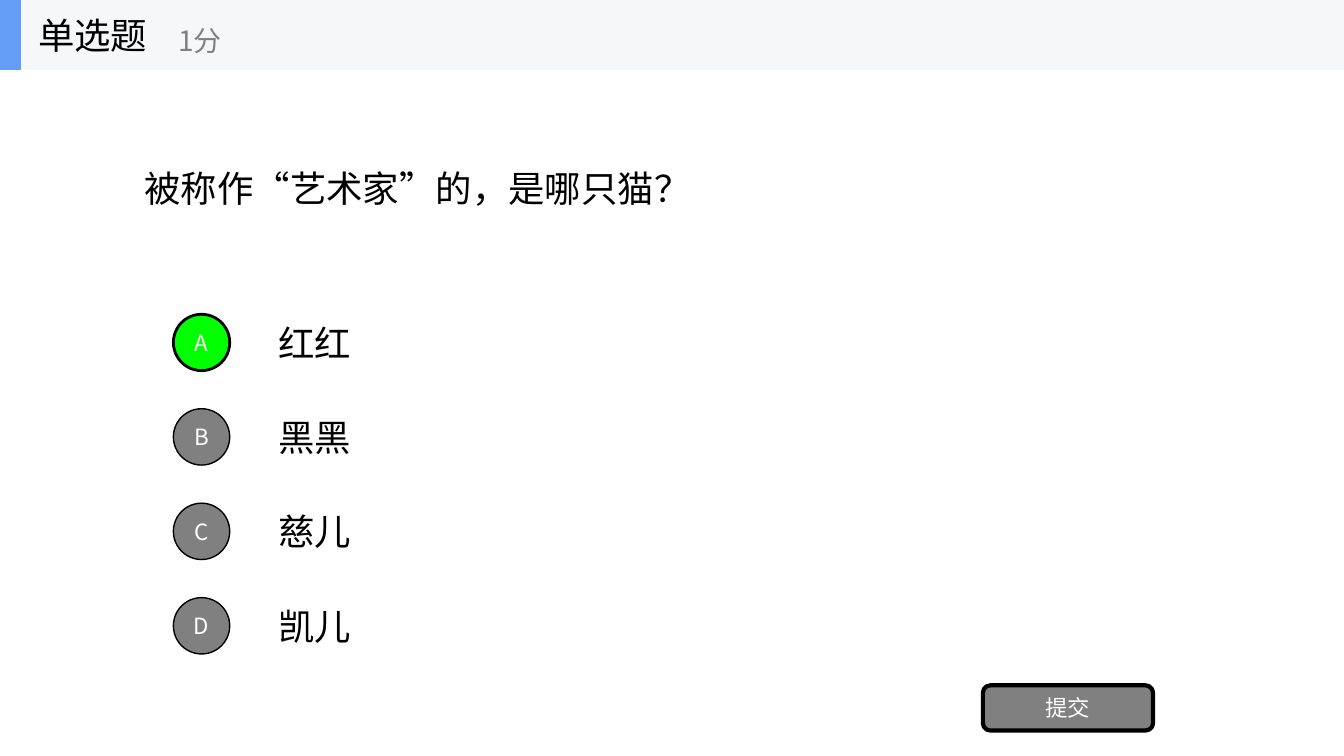
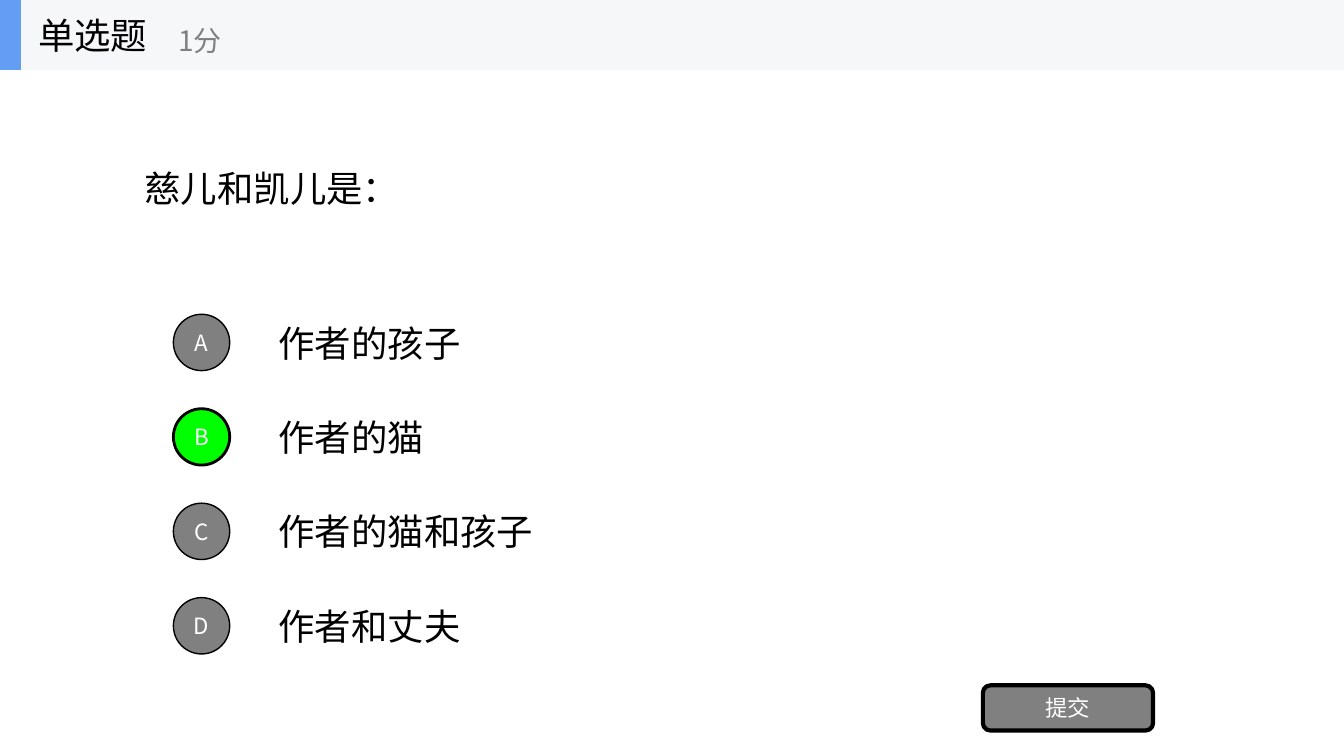
from typing import NamedTuple

from lxml import etree
from pptx import Presentation
from pptx import util as u
from pptx.dml import color
from pptx.enum import shapes, text
from pptx.oxml import ns


class Theme:
    font = "Noto Sans CJK SC"
    ink = "000000"
    white = "FFFFFF"
    gray = "808080"
    green = "00FF00"
    band = "F6F7F8"
    blue = "639EF4"
    large = 26
    mid = 20
    small = 16


class Box(NamedTuple):
    x: float
    y: float
    w: float
    h: float

    def sub(self, x, y, w, h):
        return Box(self.x + x, self.y + y, w, h)

    def cm(self):
        return [u.Cm(v) for v in self]


PAGE = Box(0, 0, 33.87, 19.05)
LEFT, MID = text.PP_ALIGN.LEFT, text.PP_ALIGN.CENTER
KIND = shapes.MSO_SHAPE


def rgb(code):
    return color.RGBColor.from_string(code)


def write(shape, words, size, tone, align=LEFT):
    frame = shape.text_frame
    frame.word_wrap = True
    frame.vertical_anchor = text.MSO_ANCHOR.MIDDLE
    para = frame.paragraphs[0]
    para.text = words
    para.alignment = align
    font = para.font
    font.name = Theme.font
    font.size = u.Pt(size)
    font.color.rgb = rgb(tone)
    props = para._p.pPr.find(ns.qn("a:defRPr"))
    etree.SubElement(props, ns.qn("a:ea"), typeface=Theme.font)


def label(parent, box, words, size=Theme.large, tone=Theme.ink):
    write(parent.add_textbox(*box.cm()), words, size, tone)


def block(parent, kind, box, fill, line=0):
    shape = parent.add_shape(kind, *box.cm())
    shape.shadow.inherit = False
    shape.fill.solid()
    shape.fill.fore_color.rgb = rgb(fill)
    if line:
        shape.line.color.rgb = rgb(Theme.ink)
        shape.line.width = u.Pt(line)
    else:
        shape.line.fill.background()
    return shape


def button(parent, kind, box, words, fill, line):
    shape = block(parent, kind, box, fill, line)
    write(shape, words, Theme.small, Theme.white, MID)


def header(slide, box, title, score):
    group = slide.shapes.add_group_shape().shapes
    block(group, KIND.RECTANGLE, box, Theme.band)
    block(group, KIND.RECTANGLE, box.sub(0, 0, 0.53, box.h), Theme.blue)
    label(group, box.sub(0.71, 0, 5.28, box.h), title)
    label(group, box.sub(4.24, 0.31, 6.35, 1.42), score, Theme.mid, Theme.gray)


def choices(slide, box, items, answer):
    pitch, row, size, inset = 2.38, 1.78, 1.42, 2.4
    for i, (key, words) in enumerate(zip("ABCD", items)):
        top = i * pitch
        label(slide.shapes, box.sub(inset, top, box.w - inset, row), words)
        right = key == answer
        button(slide.shapes, KIND.OVAL,
               box.sub(0, top + (row - size) / 2, size, size), key,
               Theme.green if right else Theme.gray, 2 if right else 1)


def quiz(deck, box, ask, items, answer):
    slide = deck.slides.add_slide(deck.slide_layouts[6])
    label(slide.shapes, box.sub(3.39, 1.76, 27.09, 5.95), ask)
    choices(slide, box.sub(4.37, 7.74, 26.11, 8.92), items, answer)
    button(slide.shapes, KIND.ROUNDED_RECTANGLE,
           box.sub(24.77, 17.27, 4.29, 1.14), "提交", Theme.gray, 3)
    header(slide, box.sub(0, 0, box.w, 1.76), "单选题", "1分")


QUIZ = [
    ("被称作“艺术家”的，是哪只猫？",
     ["红红", "黑黑", "慈儿", "凯儿"], "A"),
    ("慈儿和凯儿是：",
     ["作者的孩子", "作者的猫", "作者的猫和孩子", "作者和丈夫"], "B"),
]

deck = Presentation()
deck.slide_width, deck.slide_height = PAGE.cm()[2:]
for ask, items, answer in QUIZ:
    quiz(deck, PAGE, ask, items, answer)
deck.save("out.pptx")
